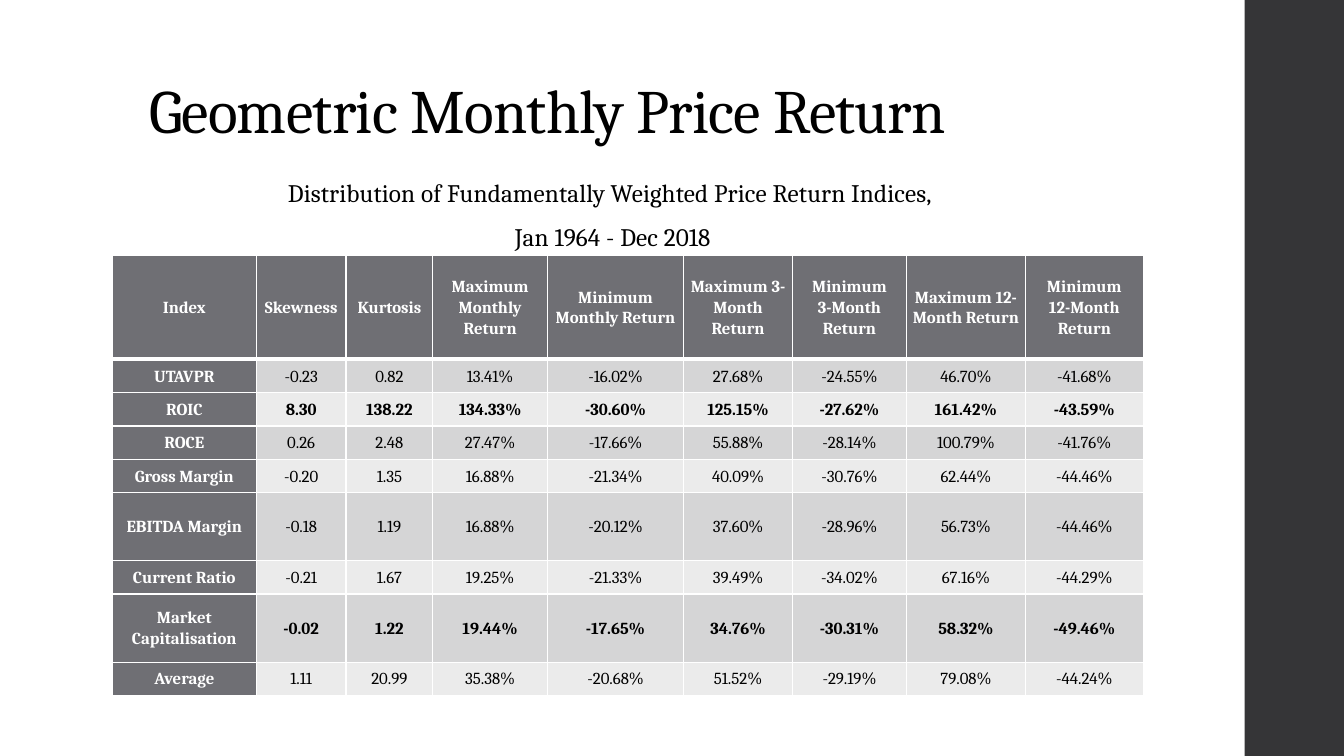
from dataclasses import dataclass

import lxml.etree
import pptx
import pptx.dml.color
import pptx.enum.shapes
import pptx.enum.text
import pptx.oxml.ns
import pptx.presentation
import pptx.slide
import pptx.table
import pptx.text.text
import pptx.util

Pt = pptx.util.Pt
CENTER = pptx.enum.text.PP_ALIGN.CENTER
MIDDLE = pptx.enum.text.MSO_ANCHOR.MIDDLE


@dataclass(frozen=True)
class Theme:
    font: str = "Cambria"
    black: str = "000000"
    white: str = "FFFFFF"
    side_band: str = "353537"
    heading_fill: str = "6F6F74"
    odd_fill: str = "D5D5D6"
    even_fill: str = "EBEBEB"
    title_size: float = 44
    subtitle_size: float = 18
    table_size: float = 12


@dataclass(frozen=True)
class IndexRow:
    name: str
    values: str
    height: float = 23.8
    bold: bool = False


THEME = Theme()
TITLE = "Geometric Monthly Price Return"
SUBTITLE = "Distribution of Fundamentally Weighted Price Return Indices, \nJan 1964 - Dec 2018"
HEADINGS = [
    "Index", "Skewness", "Kurtosis", "Maximum Monthly Return", "Minimum Monthly Return",
    "Maximum 3-Month Return", "Minimum\n3-Month Return",
    "Maximum 12-Month Return", "Minimum\n12-Month Return",
]
COLUMN_WIDTHS = [103, 64, 62, 82, 97.2, 77.8, 81.4, 85, 84.2]
HEADING_HEIGHT = 74.2
TALL_ROW = 48.7
INDEX_ROWS = [
    IndexRow("UTAVPR", "-0.23 0.82 13.41% -16.02% 27.68% -24.55% 46.70% -41.68%"),
    IndexRow("ROIC", "8.30 138.22 134.33% -30.60% 125.15% -27.62% 161.42% -43.59%", bold=True),
    IndexRow("ROCE", "0.26 2.48 27.47% -17.66% 55.88% -28.14% 100.79% -41.76%"),
    IndexRow("Gross Margin", "-0.20 1.35 16.88% -21.34% 40.09% -30.76% 62.44% -44.46%"),
    IndexRow("EBITDA Margin", "-0.18 1.19 16.88% -20.12% 37.60% -28.96% 56.73% -44.46%", TALL_ROW),
    IndexRow("Current Ratio", "-0.21 1.67 19.25% -21.33% 39.49% -34.02% 67.16% -44.29%"),
    IndexRow("Market Capitalisation",
             "-0.02 1.22 19.44% -17.65% 34.76% -30.31% 58.32% -49.46%", TALL_ROW, True),
    IndexRow("Average", "1.11 20.99 35.38% -20.68% 51.52% -29.19% 79.08% -44.24%"),
]


def rgb(color: str) -> pptx.dml.color.RGBColor:
    return pptx.dml.color.RGBColor.from_string(color)


def format_runs(paragraph: pptx.text.text._Paragraph, size: float, color: str,
                bold: bool = False, tracking: float = 0) -> None:
    for run in paragraph.runs:
        run.font.name = THEME.font
        run.font.size = Pt(size)
        run.font.bold = bold
        run.font.color.rgb = rgb(color)
        if tracking:
            run.font._element.set("spc", str(round(tracking * 100)))


def add_text(slide: pptx.slide.Slide, text: str, left: float, top: float,
             width: float, height: float) -> pptx.text.text.TextFrame:
    text_box = slide.shapes.add_textbox(Pt(left), Pt(top), Pt(width), Pt(height))
    text_box.text_frame.word_wrap = True
    text_box.text_frame.text = text
    return text_box.text_frame


def set_borders(cell: pptx.table._Cell, top: float, bottom: float) -> None:
    properties = cell._tc.get_or_add_tcPr()
    for side, width in {"lnL": 1, "lnR": 1, "lnT": top, "lnB": bottom}.items():
        line = lxml.etree.SubElement(properties, pptx.oxml.ns.qn(f"a:{side}"), w=str(Pt(width)))
        fill = lxml.etree.SubElement(line, pptx.oxml.ns.qn("a:solidFill"))
        lxml.etree.SubElement(fill, pptx.oxml.ns.qn("a:srgbClr"), val=THEME.white)


def format_cell(cell: pptx.table._Cell, text: str, fill: str, color: str, bold: bool,
                top_border: float, bottom_border: float) -> None:
    set_borders(cell, top_border, bottom_border)
    cell.fill.solid()
    cell.fill.fore_color.rgb = rgb(fill)
    cell.vertical_anchor = MIDDLE
    cell.margin_left = cell.margin_right = Pt(3)
    cell.margin_top = cell.margin_bottom = Pt(0)
    cell.text_frame.text = text
    for paragraph in cell.text_frame.paragraphs:
        paragraph.alignment = CENTER
        paragraph.line_spacing = 1.07
        format_runs(paragraph, THEME.table_size, color, bold)


def add_returns_table(slide: pptx.slide.Slide, left: float, top: float) -> None:
    heights = [HEADING_HEIGHT] + [row.height for row in INDEX_ROWS]
    frame = slide.shapes.add_table(len(heights), len(HEADINGS), Pt(left), Pt(top),
                                   Pt(sum(COLUMN_WIDTHS)), Pt(sum(heights)))
    table = frame.table
    for column, width in zip(table.columns, COLUMN_WIDTHS):
        column.width = Pt(width)
    for table_row, height in zip(table.rows, heights):
        table_row.height = Pt(height)

    # Heading row, with a thick rule below
    for column_index, heading in enumerate(HEADINGS):
        format_cell(table.cell(0, column_index), heading, THEME.heading_fill,
                    THEME.white, True, 1, 3)

    # Index rows in alternating bands
    for row_index, row in enumerate(INDEX_ROWS, start=1):
        band = THEME.odd_fill if row_index % 2 else THEME.even_fill
        top_border = 3 if row_index == 1 else 1
        format_cell(table.cell(row_index, 0), row.name, THEME.heading_fill,
                    THEME.white, True, top_border, 1)
        for column_index, value in enumerate(row.values.split(), start=1):
            format_cell(table.cell(row_index, column_index), value, band,
                        THEME.black, row.bold, top_border, 1)


def main() -> None:
    presentation = pptx.Presentation()
    presentation.slide_width, presentation.slide_height = Pt(960), Pt(540)
    slide = presentation.slides.add_slide(presentation.slide_layouts[6])

    # Dark band on the right
    band = slide.shapes.add_shape(pptx.enum.shapes.MSO_SHAPE.RECTANGLE,
                                  Pt(889), Pt(0), Pt(71), Pt(540))
    band.shadow.inherit = False
    band.fill.solid()
    band.fill.fore_color.rgb = rgb(THEME.side_band)
    band.line.fill.background()

    add_returns_table(slide, 80.2, 182.5)

    # Title
    title_frame = add_text(slide, TITLE, 99.4, 28.8, 763.2, 104.4)
    title_frame.vertical_anchor = MIDDLE
    title_frame.paragraphs[0].line_spacing = 0.9
    format_runs(title_frame.paragraphs[0], THEME.title_size, THEME.black, tracking=-0.5)

    # Subtitle above the table
    subtitle_frame = add_text(slide, SUBTITLE, 13, 123.1, 849.6, 61.2)
    for paragraph in subtitle_frame.paragraphs:
        paragraph.alignment = CENTER
        paragraph.space_after = Pt(10)
        format_runs(paragraph, THEME.subtitle_size, THEME.black, tracking=0.1)

    presentation.save("out.pptx")


if __name__ == "__main__":
    main()
